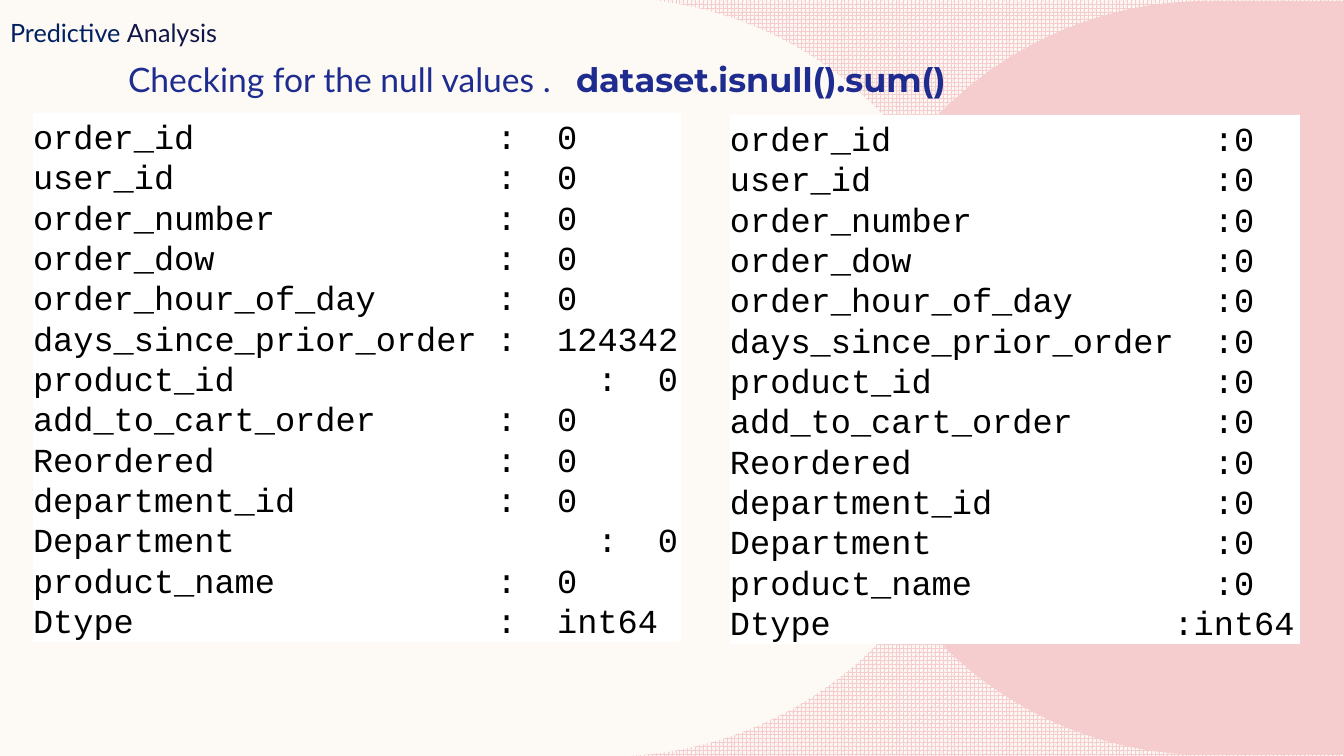
"""Builds the null-value check slide of a predictive analysis deck."""
from dataclasses import dataclass

from pptx import Presentation
from pptx import util as u
from pptx.dml.color import RGBColor
from pptx.enum import dml, shapes, text
from pptx.oxml.ns import qn
from lxml import etree

EMU_PER_PX = 914400 / 100.8
CHAR_PX = 20.16


def px(n):
    """Turn pixels into EMU."""
    return u.Emu(round(n * EMU_PER_PX))


@dataclass(frozen=True)
class Theme:
    """Colours, fonts and type sizes."""
    cream: str = "FDFAF6"
    pink: str = "F5CDCE"
    white: str = "FFFFFF"
    black: str = "000000"
    blue: str = "1F2C8F"
    navy: str = "002060"
    indigo: str = "101648"
    sans: str = "Lato"
    display: str = "Montserrat"
    mono: str = "Courier New"
    body: int = 24
    label: int = 18
    leading: float = 28.8


class Deck:
    """Holds the theme and the current slide."""

    def __init__(self, prs, theme):
        """Add a title-only slide with a patterned background."""
        self.t = theme
        self.s = prs.slides.add_slide(prs.slide_layouts[5])
        fill = self.s.background.fill
        fill.patterned()
        fill.pattern = dml.MSO_PATTERN.SPHERE
        fill.fore_color.rgb = RGBColor.from_string(theme.pink)
        fill.back_color.rgb = RGBColor.from_string(theme.cream)

    def paint(self, sp, color):
        """Fill a shape flat, with no line or shadow."""
        sp.fill.solid()
        sp.fill.fore_color.rgb = RGBColor.from_string(color)
        sp.line.fill.background()
        sp.shadow.inherit = False

    def frame(self, sp, left=0, top=0):
        """Set a shape's text to start at its top left, inside the insets."""
        tf = sp.text_frame
        tf.word_wrap = True
        tf.auto_size = text.MSO_AUTO_SIZE.NONE
        tf.vertical_anchor = text.MSO_ANCHOR.TOP
        tf.margin_left, tf.margin_top = px(left), px(top)
        tf.margin_right = tf.margin_bottom = 0
        return tf

    def style(self, p, name, size, color, stops=()):
        """Set a paragraph's font, alignment and tab stops."""
        p.alignment = text.PP_ALIGN.LEFT
        p.font.name, p.font.size = name, u.Pt(size)
        p.font.color.rgb = RGBColor.from_string(color)
        if stops:
            tabs = etree.Element(qn("a:tabLst"))
            for stop in stops:
                etree.SubElement(tabs, qn("a:tab"), pos=str(px(stop)), algn="l")
            p._p.pPr.find(qn("a:defRPr")).addprevious(tabs)

    def dome(self, straight, curved, color):
        """Draw an outline of straight sides, then cubic curves."""
        points = [(px(x), px(y)) for x, y in straight + curved]
        fb = self.s.shapes.build_freeform(*points[0])
        fb.add_line_segments(points[1:], close=True)
        sp = fb.convert_to_shape()
        lines = list(sp._element.iter(qn("a:lnTo")))[len(straight) - 1:]
        for i in range(0, len(curved), 3):
            curve = etree.Element(qn("a:cubicBezTo"))
            lines[i].addprevious(curve)
            for line in lines[i:i + 3]:
                curve.append(line[0])
                line.getparent().remove(line)
        self.paint(sp, color)

    def heading(self, box, words, code, stop):
        """Place the title, with a code call at a tab stop."""
        sp = self.s.shapes.title
        self.s.shapes._spTree.append(sp._element)
        sp.left, sp.top, sp.width, sp.height = map(px, box)
        p = self.frame(sp, 105).paragraphs[0]
        self.style(p, self.t.sans, self.t.body, self.t.blue, [stop])
        p.add_run().text = words + "\t"
        r = p.add_run()
        r.text = code
        r.font.name, r.font.bold = self.t.display, True

    def listing(self, box, rows):
        """Draw a white panel of rows, each with its own tab columns."""
        sp = self.s.shapes.add_shape(shapes.MSO_SHAPE.RECTANGLE, *map(px, box))
        self.paint(sp, self.t.white)
        tf = self.frame(sp, top=3)
        for i, (line, columns) in enumerate(rows):
            p = tf.add_paragraph() if i else tf.paragraphs[0]
            p.text = line
            p.line_spacing = u.Pt(self.t.leading)
            self.style(p, self.t.mono, self.t.body, self.t.black,
                       [c * CHAR_PX for c in columns])

    def label(self, box, words):
        """Write a small label from (text, colour) pairs."""
        sp = self.s.shapes.add_textbox(*map(px, box))
        p = self.frame(sp, 10, 5).paragraphs[0]
        self.style(p, self.t.sans, self.t.label, words[0][1])
        for word, color in words:
            r = p.add_run()
            r.text = word
            r.font.color.rgb = RGBColor.from_string(color)


FIELDS = ["order_id", "user_id", "order_number", "order_dow",
          "order_hour_of_day", "days_since_prior_order", "product_id",
          "add_to_cart_order", "Reordered", "department_id", "Department",
          "product_name", "Dtype"]
NULLS_BEFORE = {"days_since_prior_order": "124342", "Dtype": "int64"}
NULLS_AFTER = {"Dtype": "int64"}
SHIFTED = {"product_id", "Department"}


def main():
    """Build and save the slide."""
    prs = Presentation()
    prs.slide_width, prs.slide_height = px(1344), px(756)
    theme = Theme()
    deck = Deck(prs, theme)
    deck.dome([(629, 756), (0, 756), (0, 0), (654, 0), (666, 2)],
              [(848, 29), (987, 186), (987, 377),
               (987, 580), (828, 745), (629, 756)], theme.cream)
    deck.dome([(1208, 1), (1344, 1), (1344, 755), (1208, 755)],
              [(1000, 755), (831, 586), (831, 378),
               (831, 170), (1000, 1), (1208, 1)], theme.pink)
    deck.heading((23, 59, 1277, 61), "Checking for the null values .",
                 "dataset.isnull().sum()", 448)
    before = [(f"{f}\t:\t{NULLS_BEFORE.get(f, '0')}",
               (28, 31) if f in SHIFTED else (23, 26)) for f in FIELDS]
    after = [(f"{f}\t:{NULLS_AFTER.get(f, '0')}",
              (22,) if f in NULLS_AFTER else (24,)) for f in FIELDS]
    deck.listing((33, 113, 648, 529), before)
    deck.listing((730, 115, 570, 529), after)
    deck.label((0, 12, 672, 40),
               [("Predictive ", theme.navy), ("Analysis", theme.indigo)])
    prs.save("out.pptx")


if __name__ == "__main__":
    main()
